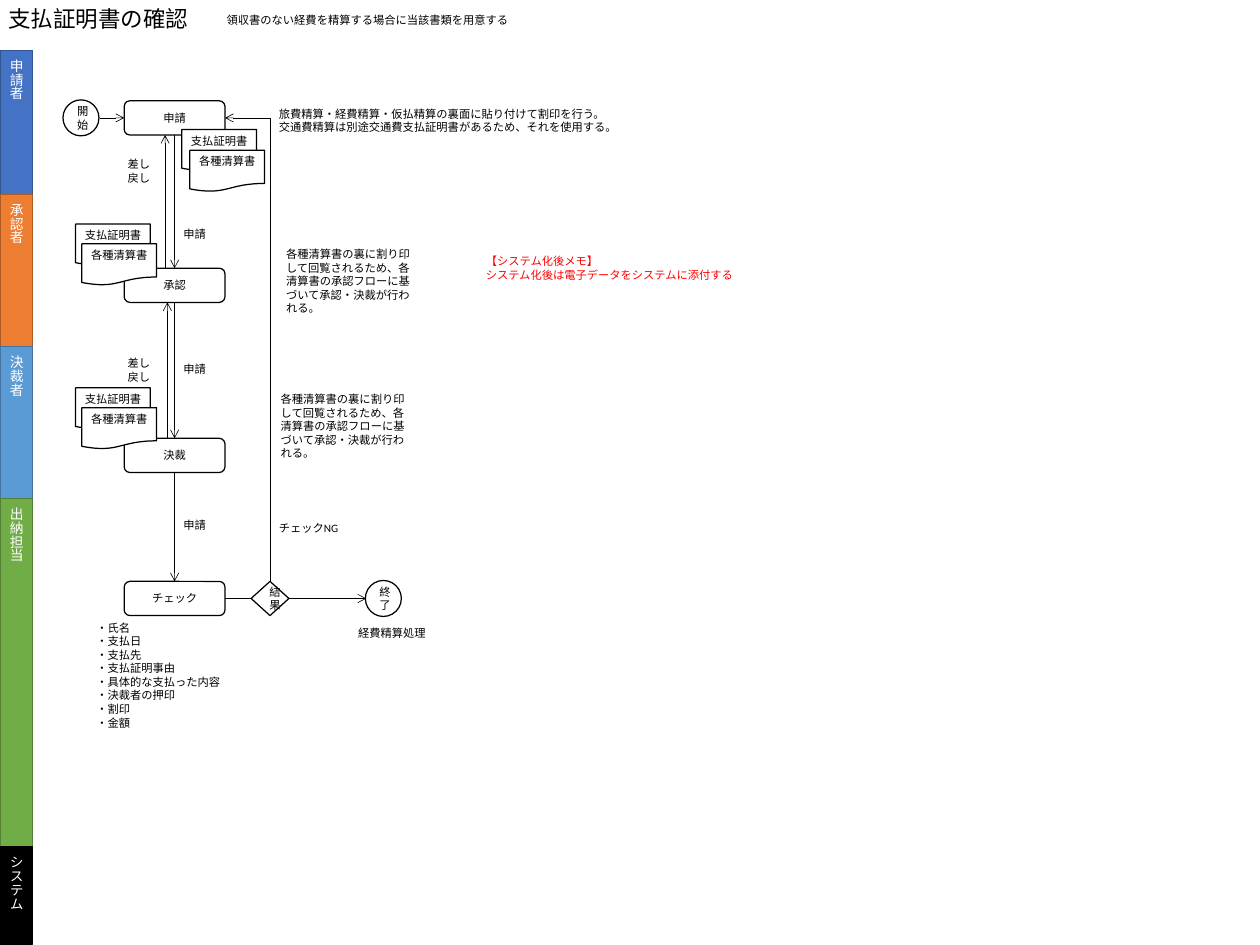
from dataclasses import dataclass
from itertools import pairwise
from typing import NamedTuple

from lxml.etree import SubElement
from pptx import Presentation
from pptx.dml.color import RGBColor
from pptx.enum.shapes import MSO_CONNECTOR, MSO_SHAPE
from pptx.enum.text import MSO_ANCHOR, MSO_AUTO_SIZE, PP_ALIGN
from pptx.oxml.ns import qn
from pptx.util import Inches, Pt

COLS, ROWS = 140, 105  # square grid, ten cells to the inch


@dataclass(frozen=True)
class Theme:
    font: str = "Calibri"
    ink: str = "000000"
    paper: str = "FFFFFF"
    alert: str = "FF0000"
    title: float = 18
    lane: float = 11
    body: float = 9
    edge: float = 1
    wire: float = 0.5


class Lane(NamedTuple):
    name: str
    fill: str
    edge: str


class Node(NamedTuple):
    kind: MSO_SHAPE
    text: str
    x: float
    y: float
    w: float
    h: float


class Wire(NamedTuple):
    x1: float
    y1: float
    x2: float
    y2: float


class Note(NamedTuple):
    text: str
    x: float
    y: float
    w: float
    h: float
    color: str = Theme.ink


def cell(n: float) -> int:
    return Inches(n / 10)


def place(shape, x: float, y: float, w: float, h: float) -> None:
    shape.left, shape.top, shape.width, shape.height = map(cell, (x, y, w, h))


def write(shape, text: str, size: float, color: str, align=PP_ALIGN.LEFT, anchor=MSO_ANCHOR.TOP) -> None:
    frame = shape.text_frame
    frame.word_wrap = True
    frame.vertical_anchor = anchor
    frame.text = text
    for para in frame.paragraphs:
        para.alignment = align
        for run in para.runs:
            run.font.name = theme.font
            run.font.size = Pt(size)
            run.font.color.rgb = RGBColor.from_string(color)


def draw(node: Node, fill: str, edge: str, size: float, color: str):
    shape = slide.shapes.add_shape(node.kind, *map(cell, node[2:]))
    shape.shadow.inherit = False
    shape.fill.solid()
    shape.fill.fore_color.rgb = RGBColor.from_string(fill)
    shape.line.color.rgb = RGBColor.from_string(edge)
    shape.line.width = Pt(theme.edge)
    top = node.kind == MSO_SHAPE.FLOWCHART_DOCUMENT
    write(shape, node.text, size, color, PP_ALIGN.CENTER,
          MSO_ANCHOR.TOP if top else MSO_ANCHOR.MIDDLE)
    return shape


def link(wire: Wire, kind=MSO_CONNECTOR.STRAIGHT, end: str = "tailEnd"):
    line = slide.shapes.add_connector(kind, *map(cell, wire))
    line.line.color.rgb = RGBColor.from_string(theme.ink)
    line.line.width = Pt(theme.wire)
    SubElement(line.line._get_or_add_ln(), qn(f"a:{end}"), type="arrow")
    SubElement(line.element.spPr, qn("a:effectLst"))
    return line


def label(note: Note) -> None:
    box = slide.shapes.add_textbox(*map(cell, note[1:5]))
    write(box, note.text, theme.body, note.color)
    box.text_frame.auto_size = MSO_AUTO_SIZE.SHAPE_TO_FIT_TEXT


theme = Theme()
deck = Presentation()
deck.slide_width, deck.slide_height = cell(COLS), cell(ROWS)
slide = deck.slides.add_slide(deck.slide_layouts[1])

# Title and check list
head, items = slide.placeholders
place(head, -0.1, 0.1, 60.2, 4)
write(head, "支払証明書の確認", theme.title, theme.ink)
head.text_frame.auto_size = MSO_AUTO_SIZE.SHAPE_TO_FIT_TEXT

checks = ("氏名", "支払日", "支払先", "支払証明事由", "具体的な支払った内容",
          "決裁者の押印", "割印", "金額")
place(items, 9.7, 68.5, 32.9, 13.1)
write(items, "\n".join(f"・{check}" for check in checks), theme.body, theme.ink)
items.text_frame.auto_size = MSO_AUTO_SIZE.SHAPE_TO_FIT_TEXT
for para in items.text_frame.paragraphs:
    para.space_before = Pt(0)
    props = para._p.get_or_add_pPr()
    props.set("marL", "0")
    props.set("indent", "0")
    SubElement(props, qn("a:buNone"))

# Lanes
lanes = (
    Lane("申請者", "4472C4", "325491"),
    Lane("承認者", "ED7D31", "AF5C24"),
    Lane("決裁者", "5B9BD5", "43739E"),
    Lane("出納担当", "70AD47", "538035"),
    Lane("システム", "000000", "000000"),
)
edges = (5.6, 21.6, 38.5, 55.4, 94.1, 104.9)
for lane, (top, low) in zip(lanes, pairwise(edges)):
    bar = draw(Node(MSO_SHAPE.RECTANGLE, lane.name, 0, top, 3.6, low - top),
               lane.fill, lane.edge, theme.lane, theme.paper)
    bar.element.txBody.bodyPr.set("vert", "eaVert")

# Step grid: one column of boxes
LEFT, WIDE, HIGH = 13.8, 11.2, 3.8
MID, RIGHT = LEFT + WIDE / 2, LEFT + WIDE
steps = {"申請": 11.2, "承認": 29.8, "決裁": 48.7, "チェック": 64.6}
tops = tuple(steps.values())
first, last = (y + HIGH / 2 for y in (tops[0], tops[-1]))
GATE, DISC = 30, 4

# Arrows
for top, low in pairwise(tops):
    link(Wire(MID, top + HIGH, MID, low))
for x, top, low in ((18.35, *tops[:2]), (18.6, *tops[1:3])):
    link(Wire(x, low, x, top + HIGH))
link(Wire(11.1, first, LEFT, first))
link(Wire(RIGHT, last, 40.7, last))
back = link(Wire(RIGHT, first, GATE, tops[-1]), MSO_CONNECTOR.ELBOW, "headEnd")
back.element.spPr.prstGeom.set("prst", "bentConnector2")

# Steps, gate, start and end
nodes = [Node(MSO_SHAPE.ROUNDED_RECTANGLE, name, LEFT, y, WIDE, HIGH)
         for name, y in steps.items()]
nodes += [
    Node(MSO_SHAPE.DIAMOND, "結果", GATE - 2.1, tops[-1], 4.2, HIGH),
    Node(MSO_SHAPE.OVAL, "開始", 7, first - DISC / 2, DISC, DISC),
    Node(MSO_SHAPE.OVAL, "終了", 40.6, last - DISC / 2, DISC, DISC),
]

# Paired documents
for x, y, dx, dy in ((20.2, 14.4, 0.9, 2.3), (8.4, 24.9, 0.7, 2.2), (8.4, 43.1, 0.7, 2.2)):
    for k, name in enumerate(("支払証明書", "各種清算書")):
        nodes.append(Node(MSO_SHAPE.FLOWCHART_DOCUMENT, name,
                          x + k * dx, y + k * dy, 8.3, 4.6))
for node in nodes:
    draw(node, theme.paper, theme.ink, theme.body, theme.ink)

# Notes
rule = "各種清算書の裏に割り印して回覧されるため、各清算書の承認フローに基づいて承認・決裁が行われる。"
notes = [
    Note("領収書のない経費を精算する場合に当該書類を用意する", 24.2, 1, 57.5, 2.5),
    Note("旅費精算・経費精算・仮払精算の裏面に貼り付けて割印を行う。\n"
         "交通費精算は別途交通費支払証明書があるため、それを使用する。", 30, 11.4, 40.4, 4),
    Note("【システム化後メモ】\nシステム化後は電子データをシステムに添付する",
         53, 27.8, 33, 4, theme.alert),
    Note(rule, 30.8, 27, 16.1, 8.6),
    Note(rule, 30.2, 43.1, 16.1, 8.6),
    Note("チェックNG", 30, 57.4, 9.7, 2.5),
    Note("経費精算処理", 38.8, 69.1, 9.7, 2.5),
]
notes += [Note("申請", MID, y, 5.1, 2.5) for y in (24.8, 39.8, 57.1)]
notes += [Note("差し戻し", 13.2, y, 5.1, 4) for y in (17, 39.1)]
for note in notes:
    label(note)

deck.save("out.pptx")
